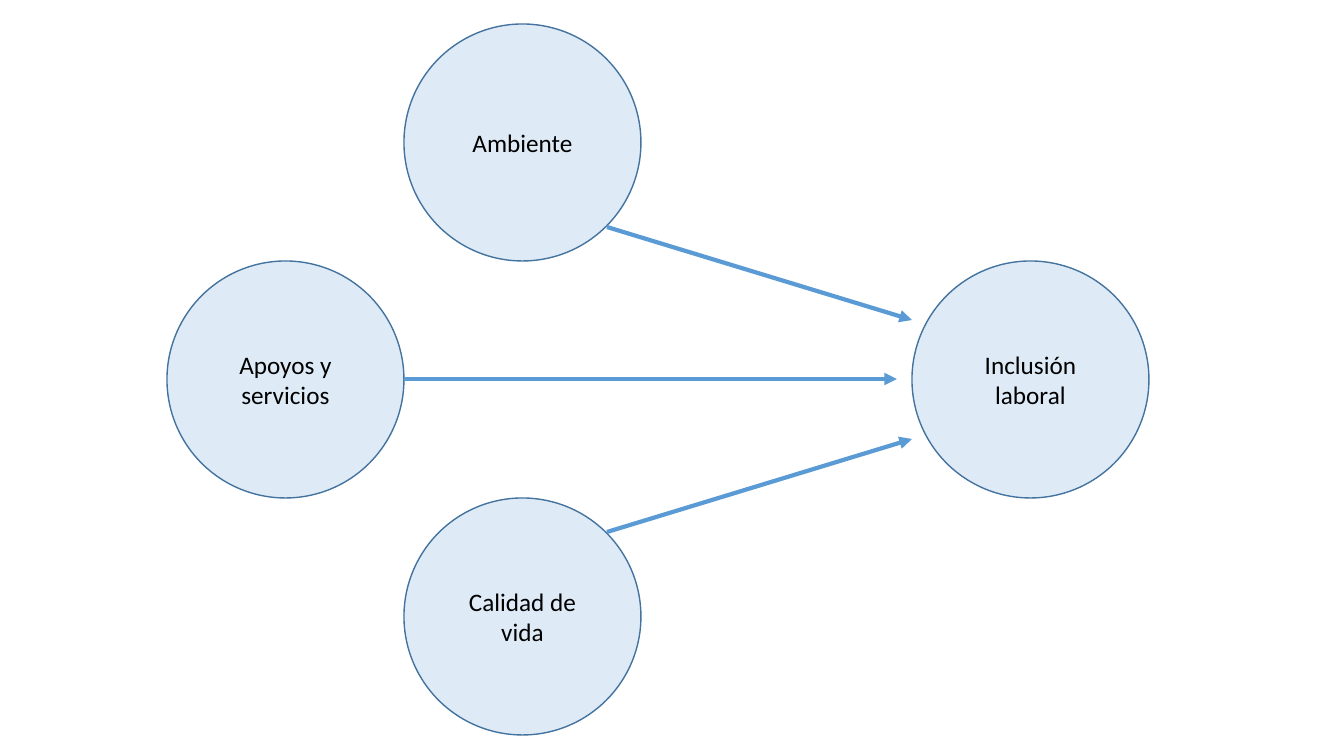
from dataclasses import dataclass

from lxml import etree
from pptx import Presentation
from pptx import util as u
from pptx.dml.color import RGBColor
from pptx.enum import shapes, text
from pptx.oxml.ns import qn

EMU_PER_PX = 914400 / 100.8
DIAMETER = 237
LEFT_X, MIDDLE_X, RIGHT_X = 167, 404, 912
TOP_Y, CENTER_Y, BOTTOM_Y = 24, 261, 498
AXIS_Y = 379


@dataclass
class Circle:
    label: str
    x: int
    y: int


@dataclass
class Arrow:
    x1: int
    y1: int
    x2: int
    y2: int


CIRCLES = [
    Circle("Ambiente", MIDDLE_X, TOP_Y),
    Circle("Apoyos y servicios", LEFT_X, CENTER_Y),
    Circle("Calidad de vida", MIDDLE_X, BOTTOM_Y),
    Circle("Inclusión laboral", RIGHT_X, CENTER_Y),
]
ARROWS = [
    Arrow(607, 227, RIGHT_X, 320),
    Arrow(607, 532, RIGHT_X, 439),
    Arrow(LEFT_X + DIAMETER, AXIS_Y, 897, AXIS_Y),
]


def px(n: int) -> u.Emu:
    return u.Emu(round(n * EMU_PER_PX))


def color(value: str) -> RGBColor:
    return RGBColor.from_string(value)


def draw_circle(s, c: Circle) -> None:
    sp = s.shapes.add_shape(shapes.MSO_SHAPE.OVAL, px(c.x), px(c.y),
                            px(DIAMETER), px(DIAMETER))
    sp.shadow.inherit = False
    sp.fill.solid()
    sp.fill.fore_color.rgb = color("DEEBF7")
    sp.line.color.rgb = color("43739E")
    sp.line.width = u.Pt(1)
    tf = sp.text_frame
    tf.word_wrap = True
    tf.vertical_anchor = text.MSO_ANCHOR.MIDDLE
    tf.text = c.label
    p = tf.paragraphs[0]
    p.alignment = text.PP_ALIGN.CENTER
    font = p.runs[0].font
    font.name = "Calibri"
    font.size = u.Pt(18)
    font.color.rgb = color("000000")


def draw_arrow(s, a: Arrow) -> None:
    cx = s.shapes.add_connector(shapes.MSO_CONNECTOR.STRAIGHT, px(a.x1), px(a.y1),
                                px(a.x2), px(a.y2))
    cx.line.color.rgb = color("5B9BD5")
    cx.line.width = u.Pt(3)
    etree.SubElement(cx.line._get_or_add_ln(), qn("a:tailEnd"), type="triangle")
    etree.SubElement(cx._element.spPr, qn("a:effectLst"))


def main() -> None:
    prs = Presentation()
    prs.slide_width, prs.slide_height = px(1344), px(756)
    s = prs.slides.add_slide(prs.slide_layouts[6])
    for circle in CIRCLES:
        draw_circle(s, circle)
    for arrow in ARROWS:
        draw_arrow(s, arrow)
    prs.save("out.pptx")


if __name__ == "__main__":
    main()
